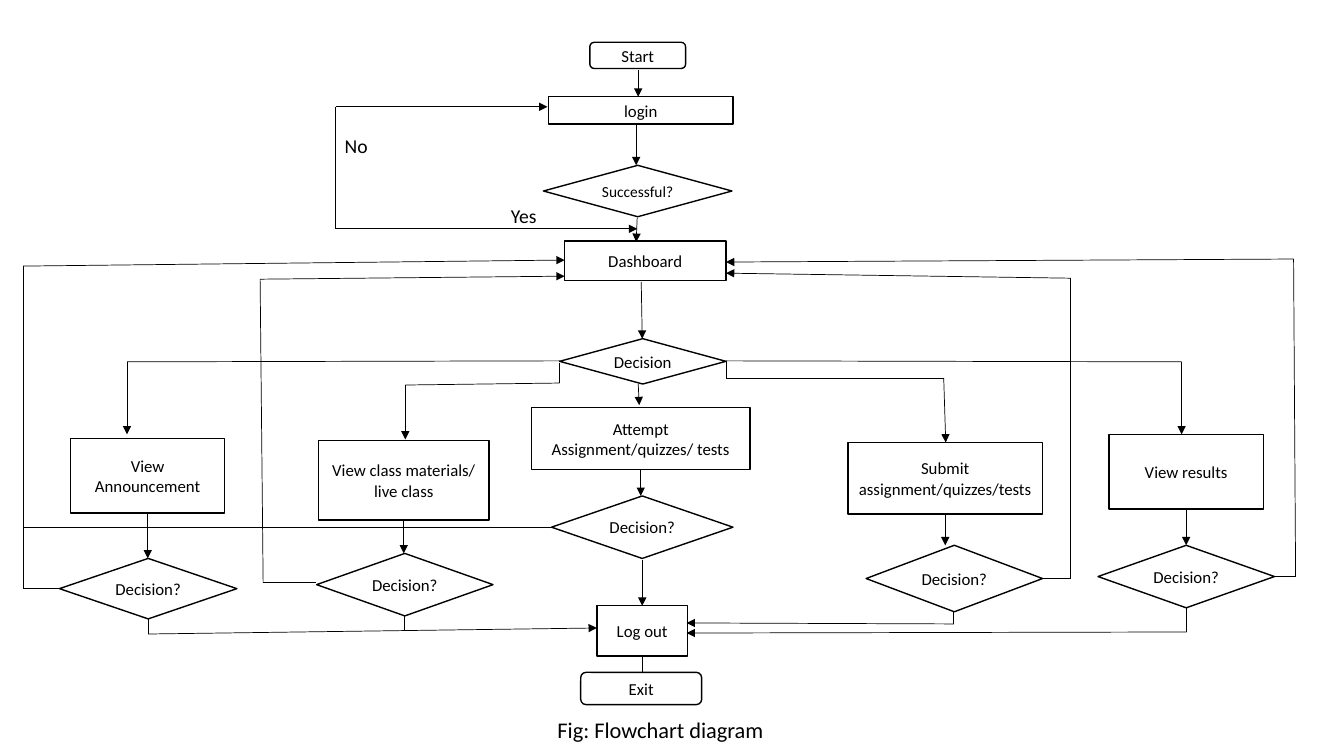
from typing import NamedTuple

from lxml.etree import SubElement
from pptx import Presentation
from pptx.dml.color import RGBColor
from pptx.enum.shapes import MSO_CONNECTOR, MSO_SHAPE
from pptx.enum.text import MSO_ANCHOR, PP_ALIGN
from pptx.oxml.ns import qn
from pptx.util import Inches, Pt

BLACK = RGBColor(0, 0, 0)
WHITE = RGBColor(255, 255, 255)
TERMINAL = MSO_SHAPE.ROUNDED_RECTANGLE
PROCESS = MSO_SHAPE.RECTANGLE
DECISION = MSO_SHAPE.FLOWCHART_DECISION
BLOCK_FRAME = {"word_wrap": True, "vertical_anchor": MSO_ANCHOR.MIDDLE}
CAPTION_FRAME = {"word_wrap": True, "vertical_anchor": MSO_ANCHOR.TOP}


class Box(NamedTuple):
    left: float
    top: float

    def x(self, offset):
        return Inches(self.left + offset)

    def y(self, offset):
        return Inches(self.top + offset)


def write(frame, wording, size, align, frame_format):
    for name, value in frame_format.items():
        setattr(frame, name, value)
    paragraph = frame.paragraphs[0]
    paragraph.alignment = align
    run = paragraph.add_run()
    run.text = wording
    for name, value in {"name": "Calibri", "size": Pt(size)}.items():
        setattr(run.font, name, value)
    run.font.color.rgb = BLACK


def add_block(slide, box, kind, wording, place, size=12):
    left, top, width, height = place
    block = slide.shapes.add_shape(
        kind, box.x(left), box.y(top), Inches(width), Inches(height))
    block.shadow.inherit = False
    block.fill.solid()
    block.fill.fore_color.rgb = WHITE
    block.line.color.rgb = BLACK
    block.line.width = Pt(1)
    write(block.text_frame, wording, size, PP_ALIGN.CENTER, BLOCK_FRAME)


def add_caption(slide, box, wording, place, size):
    left, top, width, height = place
    caption = slide.shapes.add_textbox(
        box.x(left), box.y(top), Inches(width), Inches(height))
    write(caption.text_frame, wording, size, PP_ALIGN.LEFT, CAPTION_FRAME)


def add_route(slide, box, *stops, arrow=True):
    for start, end in zip(stops, stops[1:]):
        leg = slide.shapes.add_connector(
            MSO_CONNECTOR.STRAIGHT,
            box.x(start[0]), box.y(start[1]), box.x(end[0]), box.y(end[1]))
        leg.line.color.rgb = BLACK
        leg.line.width = Pt(0.5)
        if arrow and end == stops[-1]:
            SubElement(leg.line._get_or_add_ln(), qn("a:tailEnd"), type="triangle")
        SubElement(leg._element.spPr, qn("a:effectLst"))


def draw_sign_in(slide, box):
    add_block(slide, box, TERMINAL, "Start", (2.52, 0, 0.95, 0.26))
    add_block(slide, box, PROCESS, "login", (2.11, 0.54, 1.83, 0.27))
    add_block(slide, box, DECISION, "Successful?", (2.06, 1.22, 1.87, 0.51), 11)
    add_route(slide, box, (3, 0.27), (3, 0.54))
    add_route(slide, box, (2.98, 0.81), (2.98, 1.22))
    add_route(slide, box, (2.99, 1.74), (2.98, 1.98))
    add_route(slide, box, (0, 0.64), (2.1, 0.64))
    add_route(slide, box, (0, 0.64), (0, 1.85), (2.99, 1.85))
    add_caption(slide, box, "No", (-0.01, 0.86, 1, 0.34), 14)
    add_caption(slide, box, "Yes", (1.64, 1.55, 1, 0.4), 14)


def draw_menu(slide, box):
    add_block(slide, box, PROCESS, "Dashboard", (4.34, 0, 1.6, 0.39))
    add_block(slide, box, DECISION, "Decision", (4.29, 0.97, 1.65, 0.45))
    add_route(slide, box, (5.1, 0.41), (5.11, 0.97))
    add_route(slide, box, (5.07, 1.42), (5.08, 1.63))
    add_route(slide, box, (4.29, 1.19), (0, 1.2), (0, 1.92))
    add_route(slide, box, (4.29, 1.21), (4.29, 1.41), (2.76, 1.43), (2.76, 1.97))
    add_route(slide, box, (5.94, 1.19), (5.94, 1.36), (8.1, 1.36), (8.12, 2))
    add_route(slide, box, (5.94, 1.19), (10.46, 1.2), (10.46, 1.92))


def draw_activities(slide, box):
    activities = [
        ("View Announcement", (0.11, 0.31, 1.53, 0.74), (0, 1.5, 1.76, 0.6)),
        ("View class materials/ live class",
         (2.57, 0.33, 1.69, 0.79), (2.55, 1.45, 1.75, 0.62)),
        ("Attempt Assignment/quizzes/ tests",
         (4.68, 0, 2.17, 0.62), (4.88, 0.88, 1.8, 0.62)),
        ("Submit assignment/quizzes/tests",
         (7.82, 0.35, 1.93, 0.71), (8, 1.37, 1.75, 0.66)),
        ("View results", (10.41, 0.27, 1.53, 0.74), (10.3, 1.37, 1.75, 0.62)),
    ]
    for wording, step, gate in activities:
        add_block(slide, box, PROCESS, wording, step)
        add_block(slide, box, DECISION, "Decision?", gate)
        left, top, width, height = step
        middle = left + width / 2
        add_route(slide, box, (middle, top + height), (middle, gate[1]))


def draw_returns(slide, box):
    add_route(slide, box, (0.36, 3.27), (0, 3.27), (0, 0.07), (5.37, 0.01))
    add_route(slide, box, (5.24, 2.66), (0, 2.66), arrow=False)
    add_route(slide, box, (2.9, 3.21), (2.38, 3.21), (2.35, 0.2), (5.37, 0.17))
    add_route(slide, box, (10.11, 3.17), (10.39, 3.17), (10.39, 0.19), (6.97, 0.14))
    add_route(slide, box, (12.41, 3.15), (12.62, 3.15), (12.6, 0), (6.97, 0.03))


def draw_closing(slide, box):
    add_block(slide, box, PROCESS, "Log out", (4.45, 0, 0.9, 0.5))
    add_block(slide, box, TERMINAL, "Exit", (4.29, 0.66, 1.2, 0.32))
    add_route(slide, box, (4.9, -0.45), (4.9, 0))
    add_route(slide, box, (4.9, 0.5), (4.9, 0.66), arrow=False)
    add_route(slide, box, (0, 0.13), (0, 0.28), (4.45, 0.22))
    add_route(slide, box, (2.54, 0.09), (2.54, 0.24), arrow=False)
    add_route(slide, box, (7.99, 0.06), (7.99, 0.18), (5.34, 0.17))
    add_route(slide, box, (10.3, 0.02), (10.3, 0.26), (5.34, 0.27))
    add_caption(slide, box, "Fig: Flowchart diagram", (3.96, 1.05, 2.41, 0.37), 16)


def main():
    deck = Presentation()
    deck.slide_width = Inches(13.33)
    deck.slide_height = Inches(7.5)
    flowchart = deck.slides.add_slide(deck.slide_layouts[6])
    draw_sign_in(flowchart, Box(3.33, 0.42))
    draw_menu(flowchart, Box(1.26, 2.39))
    draw_activities(flowchart, Box(0.59, 4.04))
    draw_returns(flowchart, Box(0.23, 2.57))
    draw_closing(flowchart, Box(1.47, 6.01))
    deck.save("out.pptx")


if __name__ == "__main__":
    main()
